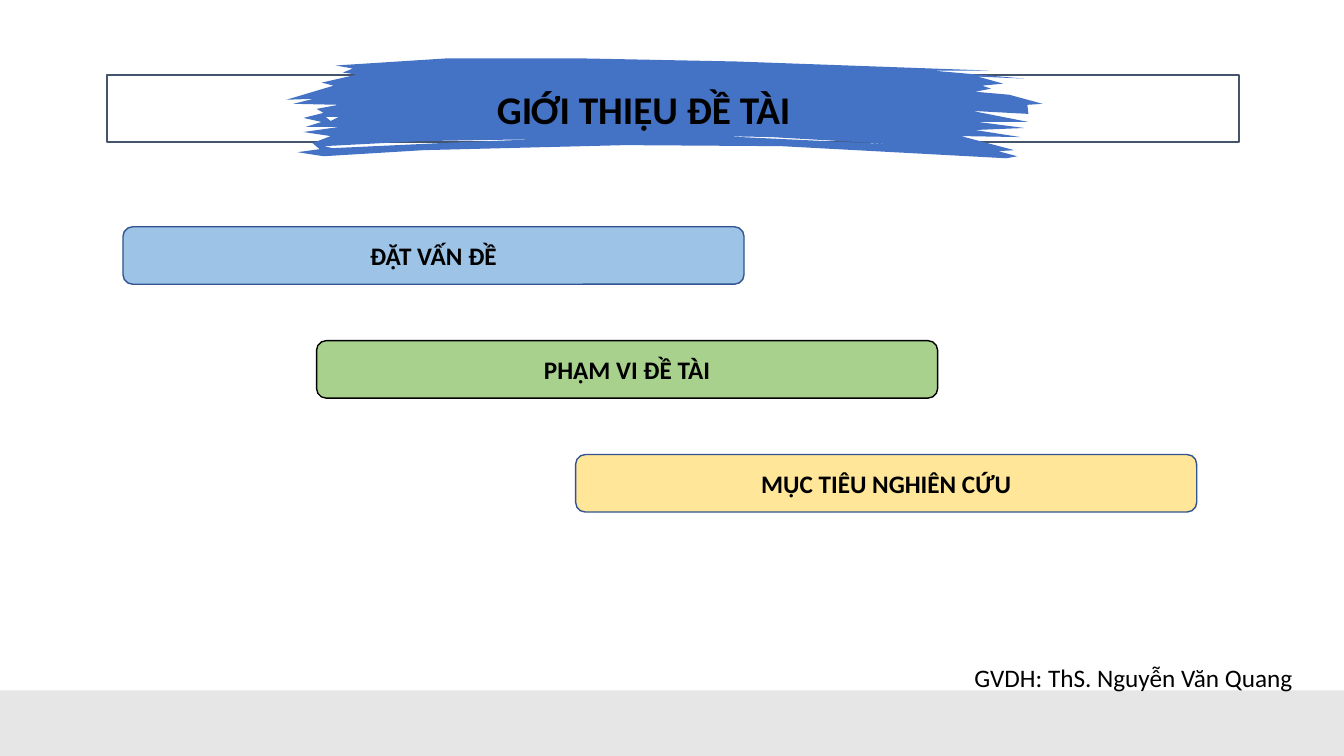
from dataclasses import dataclass

from pptx import Presentation
from pptx.dml.color import RGBColor
from pptx.enum.shapes import MSO_SHAPE as Preset
from pptx.enum.text import MSO_ANCHOR as Anchor, PP_ALIGN as Align
from pptx.shapes.autoshape import Shape
from pptx.slide import Slide
from pptx.text.text import TextFrame
from pptx.util import Inches, Pt

COLORS = {
    "text": "000000", "frame": "44546A", "footer": "E7E6E6", "brush": "4472C4",
    "blue": "9DC3E6", "green": "A9D18E", "yellow": "FFE699", "navy": "325491",
}
FONT = "Calibri"

# Brush stroke: long edges, and ragged ends alternating between tip and notch
TOP_EDGE = [(9.24, 0.7), (9.8, 0.7), (7.3, 0.61), (5.8, 0.58), (4.42, 0.58)]
LEFT_END = [
    (3.33, 0.65), (3.5, 0.68), (3.4, 0.72), (3.54, 0.74), (3.19, 0.82),
    (3.31, 0.85), (2.84, 0.99), (3.11, 0.98), (2.91, 1.03), (3.36, 1.04),
    (3.14, 1.08), (3.21, 1.12), (3.01, 1.17), (3.19, 1.21), (3.03, 1.26),
    (3.36, 1.26), (3.01, 1.31), (3.28, 1.35), (3.1, 1.42), (3.17, 1.48),
    (2.95, 1.51),
]
BOTTOM_EDGE = [(3.21, 1.55), (4.2, 1.49), (6.2, 1.44), (7.75, 1.45), (9.98, 1.57)]
RIGHT_END = [
    (10.09, 1.55), (9.9, 1.5), (10.06, 1.49), (9.53, 1.35), (10.12, 1.36),
    (9.67, 1.29), (10.16, 1.27), (9.7, 1.21), (10.2, 1.21), (9.64, 1.1),
    (10.2, 1.13), (10.19, 1.04), (10.34, 1.03), (10.01, 0.94), (9.67, 0.91),
    (9.83, 0.88), (9.74, 0.85), (9.95, 0.83), (9.7, 0.76), (10.16, 0.78),
]
BRUSH_CONTOURS = [
    TOP_EDGE + LEFT_END + BOTTOM_EDGE + RIGHT_END,
    [(3.23, 1.16), (3.36, 1.16), (3.28, 1.2)],
    [(7.14, 1.35), (7.65, 1.36), (9.03, 1.44)],
    [(3.21, 1.45), (4.17, 1.4), (5.38, 1.38), (4.58, 1.41), (3.3, 1.47)],
]


@dataclass
class Topic:
    label: str
    left: float
    fill: str
    line: str


TOPICS = [
    Topic("ĐẶT VẤN ĐỀ", 1.22, "blue", "navy"),
    Topic("PHẠM VI ĐỀ TÀI", 3.14, "green", "text"),
    Topic("MỤC TIÊU NGHIÊN CỨU", 5.71, "yellow", "navy"),
]
TOPIC_TOP, TOPIC_STEP = 2.25, 1.13
TOPIC_WIDTH, TOPIC_HEIGHT = 6.16, 0.57


def rgb(name: str) -> RGBColor:
    return RGBColor.from_string(COLORS[name])


def paint(shape: Shape, fill: str = "", line: str = "", weight: float = 1) -> None:
    shape.shadow.inherit = False
    if fill:
        shape.fill.solid()
        shape.fill.fore_color.rgb = rgb(fill)
    else:
        shape.fill.background()
    if line:
        shape.line.color.rgb = rgb(line)
        shape.line.width = Pt(weight)
    else:
        shape.line.fill.background()


def write(frame: TextFrame, text: str, size: float, bold: bool, align: Align) -> None:
    frame.word_wrap = True
    paragraph = frame.paragraphs[0]
    paragraph.alignment = align
    run = paragraph.add_run()
    run.text = text
    run.font.name = FONT
    run.font.size = Pt(size)
    run.font.bold = bold
    run.font.color.rgb = rgb("text")


def add_block(slide: Slide, preset: Preset, left: float, top: float,
              width: float, height: float) -> Shape:
    return slide.shapes.add_shape(
        preset, Inches(left), Inches(top), Inches(width), Inches(height))


def add_label(slide: Slide, left: float, top: float,
              width: float, height: float) -> TextFrame:
    return slide.shapes.add_textbox(
        Inches(left), Inches(top), Inches(width), Inches(height)).text_frame


def add_brush(slide: Slide) -> None:
    edge, *gaps = [[(Inches(x), Inches(y)) for x, y in contour]
                   for contour in BRUSH_CONTOURS]
    builder = slide.shapes.build_freeform(*edge[0])
    builder.add_line_segments(edge[1:], close=True)
    for gap in gaps:
        builder.move_to(*gap[0])
        builder.add_line_segments(gap[1:], close=True)
    paint(builder.convert_to_shape(), fill="brush")


def add_topic(slide: Slide, topic: Topic, top: float) -> None:
    bar = add_block(slide, Preset.ROUNDED_RECTANGLE, topic.left, top,
                    TOPIC_WIDTH, TOPIC_HEIGHT)
    paint(bar, topic.fill, topic.line)
    bar.text_frame.vertical_anchor = Anchor.MIDDLE
    write(bar.text_frame, topic.label, 18, True, Align.CENTER)


def main() -> None:
    deck = Presentation()
    deck.slide_width, deck.slide_height = Inches(13.33), Inches(7.5)
    slide = deck.slides.add_slide(deck.slide_layouts[6])

    # Title frame, footer band and brush stroke
    paint(add_block(slide, Preset.RECTANGLE, 1.06, 0.74, 11.23, 0.67),
          line="frame", weight=1.5)
    paint(add_block(slide, Preset.RECTANGLE, 0, 6.85, 13.33, 0.65), fill="footer")
    add_brush(slide)

    # Lecturer
    lecturer = add_label(slide, 9.3, 6.44, 3.94, 0.41)
    lecturer.margin_left = lecturer.margin_right = Inches(0.13)
    lecturer.margin_top = lecturer.margin_bottom = Inches(0.13)
    write(lecturer, "GVDH: ThS. Nguyễn Văn Quang ", 18, False, Align.CENTER)

    # Title
    title = add_label(slide, 4.83, 0.8, 4.76, 0.57)
    write(title, "GIỚI THIỆU ĐỀ TÀI", 28, True, Align.LEFT)

    # Topics, stepping down to the right
    for row, topic in enumerate(TOPICS):
        add_topic(slide, topic, TOPIC_TOP + row * TOPIC_STEP)

    deck.save("out.pptx")


if __name__ == "__main__":
    main()
